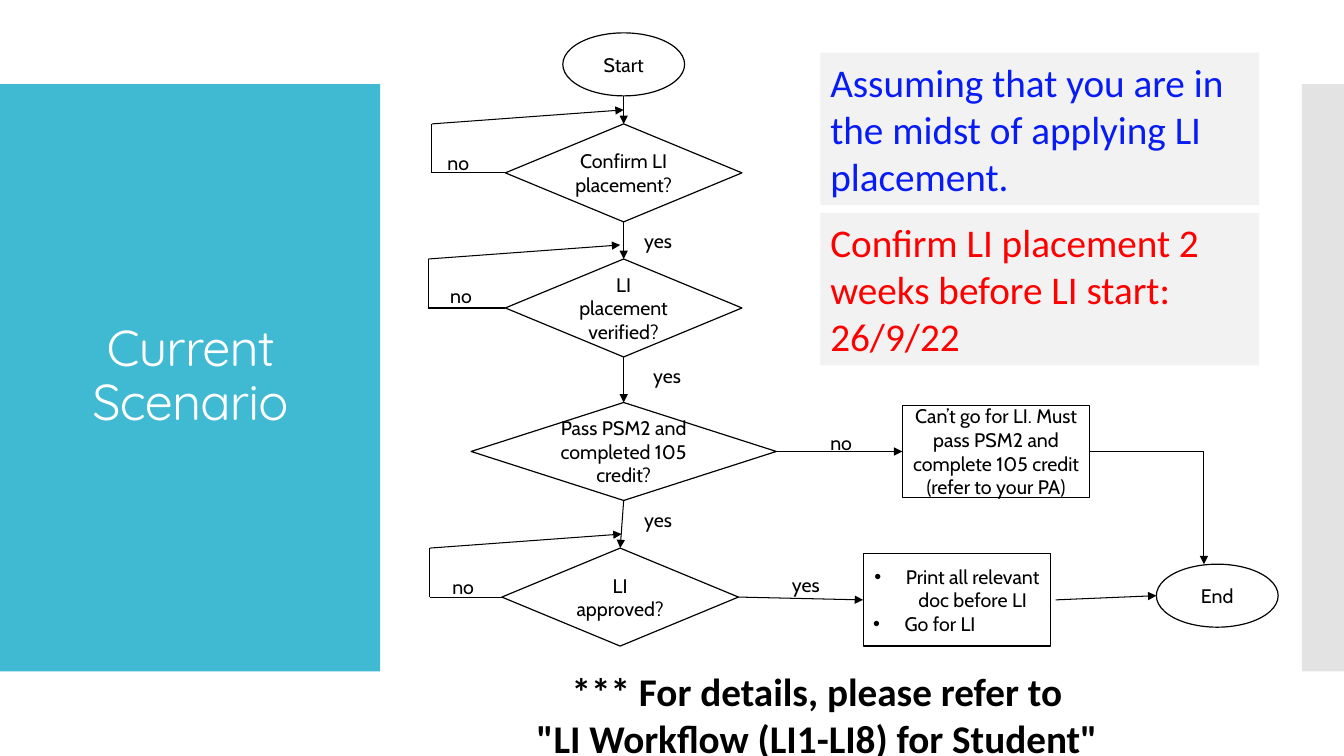
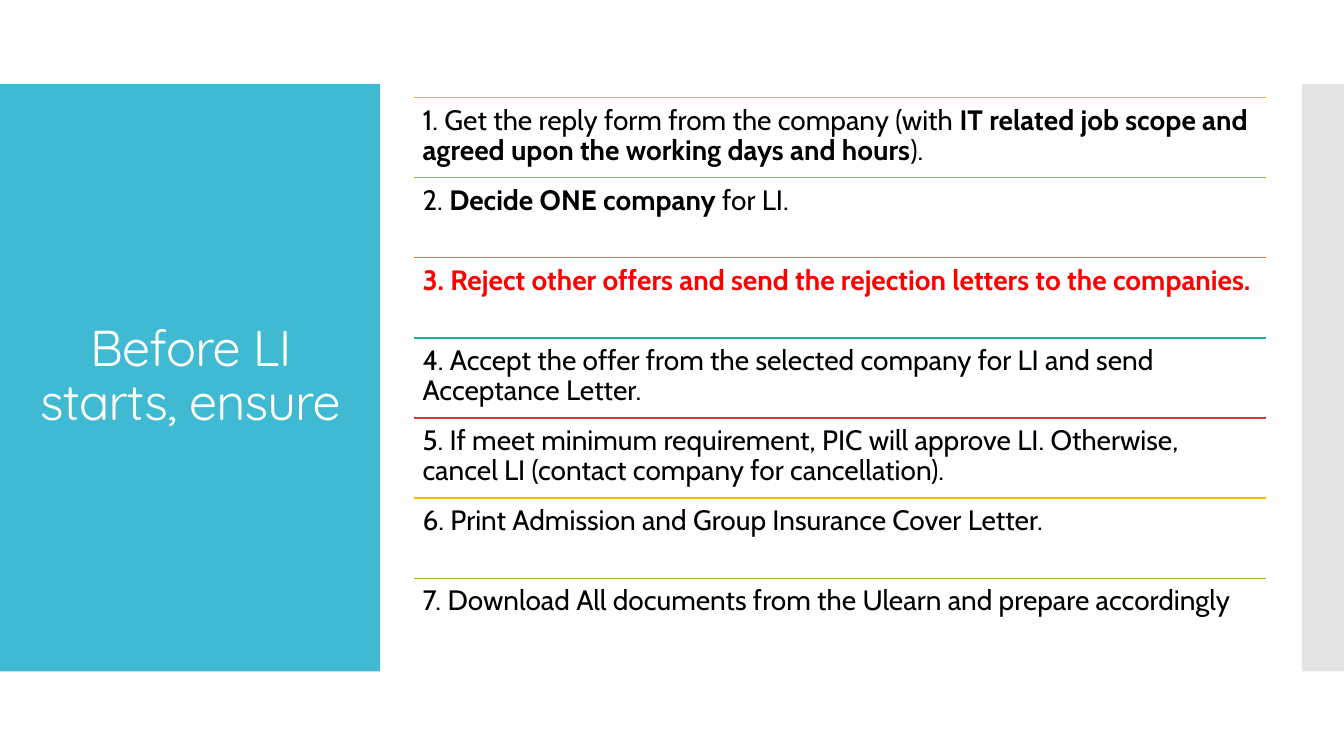
"""Build two slides on industrial training (LI): the current workflow and the checklist before it starts."""
import dataclasses
import itertools

import lxml.etree
import pptx
import pptx.dml.color
import pptx.enum.shapes
import pptx.enum.text
import pptx.oxml.ns
import pptx.util

Pt = pptx.util.Pt
RGB = pptx.dml.color.RGBColor.from_string
qn = pptx.oxml.ns.qn
SubElement = lxml.etree.SubElement
Kind = pptx.enum.shapes.MSO_SHAPE
Straight = pptx.enum.shapes.MSO_CONNECTOR.STRAIGHT
Anchor = pptx.enum.text.MSO_ANCHOR
AutoSize = pptx.enum.text.MSO_AUTO_SIZE
LEFT = pptx.enum.text.PP_ALIGN.LEFT
CENTER = pptx.enum.text.PP_ALIGN.CENTER


@dataclasses.dataclass(frozen=True)
class Theme:
    teal: str = "40BAD2"
    gray: str = "C8C8C8"
    pale: str = "F2F2F2"
    white: str = "FFFFFF"
    black: str = "000000"
    red: str = "FF0000"
    blue: str = "071BF5"
    accents: tuple = ("FAB900", "90BB23", "EE7008", "1AB39F", "D5393D")
    edge: float = 0.85
    arrow: float = 0.75
    title: tuple = ("Quicksand", 36)
    step: tuple = ("Cabin", 14)
    item: tuple = ("Cabin", 20)
    note: tuple = ("Calibri", 28)


theme = Theme()


def write(frame, paragraphs, face, color, align=LEFT, bold=False, spacing=None):
    for index, spans in enumerate(paragraphs):
        para = frame.add_paragraph() if index else frame.paragraphs[0]
        for name, value in {"alignment": align, "line_spacing": spacing}.items():
            setattr(para, name, value)
        for position, text in enumerate(spans):
            span = para.add_run()
            span.text = text
            span.font.color.rgb = RGB(color)
            looks = {"name": face[0], "size": Pt(face[1]), "bold": bold or position % 2 == 1}
            for name, value in looks.items():
                setattr(span.font, name, value)


def draw_line(page, start, stop, color, width, arrow=False):
    line = page.shapes.add_connector(Straight, 0, 0, 0, 0)
    if isinstance(start[0], str):
        line.begin_connect(nodes[start[0]], start[1])
    else:
        line.begin_x, line.begin_y = map(Pt, start)
    if isinstance(stop[0], str):
        line.end_connect(nodes[stop[0]], stop[1])
    else:
        line.end_x, line.end_y = map(Pt, stop)
    line.line.color.rgb = RGB(color)
    line.line.width = Pt(width)
    if arrow:
        SubElement(line.get_or_add_ln(), qn("a:tailEnd"), type="triangle")
    SubElement(line.element.spPr, qn("a:effectLst"))


deck = pptx.Presentation()
deck.slide_width, deck.slide_height = Pt(960), Pt(540)
layout = deck.slide_layouts[5]
title_place = {"left": Pt(20), "top": Pt(88.5), "width": Pt(232), "height": Pt(362)}
for name, value in title_place.items():
    setattr(layout.placeholders[0], name, value)

pages = []
for heading in ("Current Scenario", "Before LI starts, ensure"):
    page = deck.slides.add_slide(layout)
    frame = page.shapes.title.text_frame
    for name, value in {"vertical_anchor": Anchor.MIDDLE, "auto_size": AutoSize.NONE}.items():
        setattr(frame, name, value)
    write(frame, [[heading]], theme.title, theme.white, CENTER, spacing=0.9)
    frame.paragraphs[0].runs[0].font._element.set("spc", "-60")
    pages.append(page)
flow, checklist = pages

bands = [(0, 271.5, theme.teal, 100), (930, 30, theme.gray, 50)]
for number, (left, width, color, opacity) in enumerate(bands):
    band = flow.shapes.add_shape(Kind.RECTANGLE, Pt(left), Pt(60), Pt(width), Pt(419.5))
    band.shadow.inherit = False
    band.fill.solid()
    band.fill.fore_color.rgb = RGB(color)
    band.line.fill.background()
    fill_color = band.element.spPr.find(".//" + qn("a:srgbClr"))
    SubElement(fill_color, qn("a:alpha"), val=str(opacity * 1000))
    band.element.nvSpPr.cNvPr.set("id", str(20 + number))
    layout.shapes.element.insert(2 + number, band.element)

oval, diamond, square = (87, 45), (169, 70), (134, 66)
steps = {
    "start": (Kind.OVAL, (402, 23.5), oval, ["Start"]),
    "confirm": (Kind.DIAMOND, (361, 88.5), diamond, ["Confirm LI placement?"]),
    "verify": (Kind.DIAMOND, (361, 185), diamond, ["LI placement verified?"]),
    "credit": (Kind.DIAMOND, (336.5, 287.5), (218, 70), ["Pass PSM2 and completed 105 credit?"]),
    "approve": (Kind.DIAMOND, (358.5, 391.5), diamond, ["LI approved?"]),
    "print": (Kind.RECTANGLE, (616.5, 395.5), square, ["Print all relevant doc before LI", "Go for LI"]),
    "refuse": (Kind.RECTANGLE, (644.5, 289.5), square,
               ["Can’t go for LI. Must pass PSM2 and complete 105 credit (refer to your PA)"]),
    "end": (Kind.OVAL, (826, 403), oval, ["End"]),
    "assumption": (Kind.RECTANGLE, (586, 37.5), (313.5, 109),
                   ["Assuming that you are in the midst of applying LI placement."]),
    "deadline": (Kind.RECTANGLE, (586, 152), (313.5, 109),
                 ["Confirm LI placement 2 weeks before LI start: 26/9/22"]),
}
note_colors = {"assumption": theme.blue, "deadline": theme.red}
nodes = {}
for name, (kind, place, size, texts) in steps.items():
    box = nodes[name] = flow.shapes.add_shape(kind, *map(Pt, place + size))
    box.shadow.inherit = False
    box.fill.solid()
    paragraphs = [[text] for text in texts]
    if name in note_colors:
        box.fill.fore_color.rgb = RGB(theme.pale)
        box.line.fill.background()
        write(box.text_frame, paragraphs, theme.note, note_colors[name])
    else:
        box.fill.fore_color.rgb = RGB(theme.white)
        box.line.color.rgb = RGB(theme.black)
        box.line.width = Pt(theme.edge)
        write(box.text_frame, paragraphs, theme.step, theme.black, CENTER)

for para in nodes["print"].text_frame.paragraphs:
    properties = para._p.get_or_add_pPr()
    properties.set("marL", str(Pt(22.5)))
    properties.set("indent", str(-Pt(22.5)))
    SubElement(properties, qn("a:buFont"), typeface="Arial")
    SubElement(properties, qn("a:buChar"), char="•")
para.alignment = LEFT

arrows = [
    ((445.5, 68.5), ("confirm", 0)),
    (("confirm", 2), ("verify", 0)),
    (("verify", 2), ("credit", 0)),
    (("credit", 2), ("approve", 0)),
    (("credit", 3), ("refuse", 1)),
    (("approve", 3), ("print", 1)),
    ((754, 428.5), (826, 425.5)),
    ((860, 322.5), (860, 403)),
]
plain_lines = [(("refuse", 3), (860, 322.5))]
for name, rail, tip in (("confirm", 308.5, 445.5), ("verify", 306, 443), ("approve", 307, 444)):
    top = steps[name][1][1]
    middle = top + diamond[1] / 2
    plain_lines += [((name, 1), (rail, middle)), ((rail, middle), (rail, top))]
    arrows.append(((rail, top), (tip, top - 10)))
for has_arrow, group in ((True, arrows), (False, plain_lines)):
    for start, stop in group:
        draw_line(flow, start, stop, theme.black, theme.arrow, has_arrow)

answers = {
    "yes": [(453, 160), (459.5, 256.5), (453, 359.5), (558.5, 405.5)],
    "no": [(312.5, 104.5), (314.5, 199.5), (316, 407), (586, 304)],
}
for answer, places in answers.items():
    for place in places:
        box = flow.shapes.add_textbox(*map(Pt, place + (41, 24.5)))
        box.text_frame.word_wrap = True
        write(box.text_frame, [[answer]], theme.step, theme.black)

box = flow.shapes.add_textbox(Pt(320), Pt(473), Pt(527), Pt(75))
box.text_frame.word_wrap = True
reference = [["*** For details, please refer to"], ['"LI Workflow (LI1-LI8) for Student"']]
write(box.text_frame, reference, theme.note, theme.black, CENTER, bold=True)

items = [
    ["1. Get the reply form from the company (with ",
     "IT related job scope and agreed upon the working days and hours", ")."],
    ["2. ", "Decide ONE company ", "for LI."],
    ["3. Reject other offers and send the rejection letters to the companies."],
    ["4. Accept the offer from the selected company for LI and send Acceptance Letter."],
    ["5. If meet minimum requirement, PIC will approve LI. Otherwise, "
     "cancel LI (contact company for cancellation)."],
    ["6. Print Admission and Group Insurance Cover Letter."],
    ["7. Download All documents from the Ulearn and prepare accordingly"],
]
list_left, list_top, list_width, pitch = 296, 69.8, 608.5, 57.2
margins = ("margin_left", "margin_top", "margin_right", "margin_bottom")
for row, (spans, accent) in enumerate(zip(items, itertools.cycle(theme.accents))):
    top = list_top + row * pitch
    draw_line(checklist, (list_left, top), (list_left + list_width, top), accent, theme.edge)
    box = checklist.shapes.add_textbox(Pt(list_left), Pt(top), Pt(list_width), Pt(pitch))
    for name, value in {"word_wrap": True, **dict.fromkeys(margins, Pt(5.8))}.items():
        setattr(box.text_frame, name, value)
    urgent = row == 2
    write(box.text_frame, [spans], theme.item, theme.red if urgent else theme.black,
          bold=urgent, spacing=0.9)

deck.save("out.pptx")
